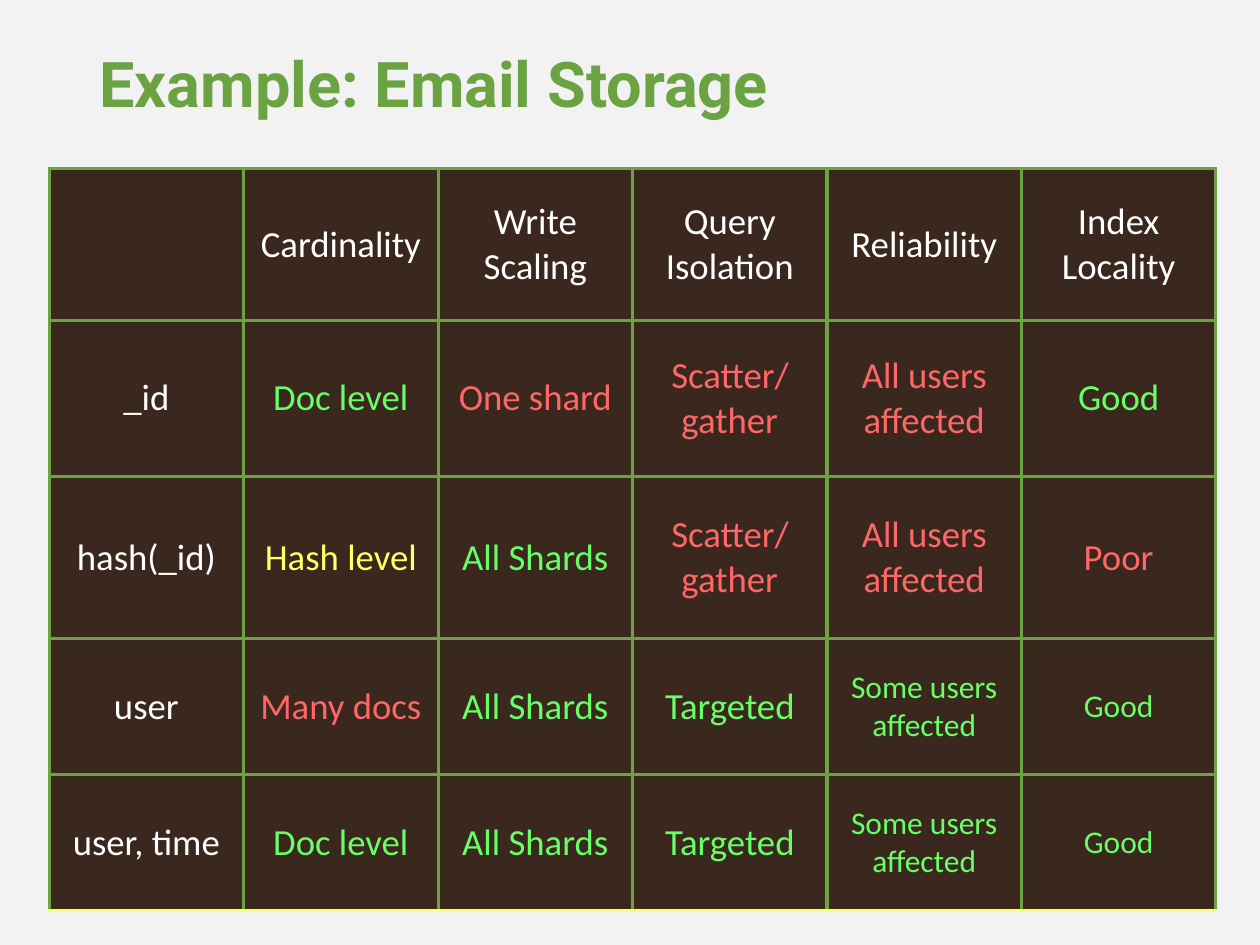
from lxml import etree
from pptx import Presentation
from pptx import util as u
from pptx.dml.color import RGBColor
from pptx.enum import text
from pptx.oxml.ns import qn

COLORS = {
    "background": "F2F2F2", "accent": "6BA342", "cell": "3A281E",
    "label": "FFFFFF", "good": "66FF66", "fair": "FFFF66", "bad": "FF6666",
}
TITLE = "Example: Email Storage"
HEADERS = ["", "Cardinality", "Write Scaling", "Query Isolation", "Reliability", "Index\nLocality"]
# Each shard key, then (assessment, rating) for every criterion
SHARD_KEYS = [
    ("_id", [("Doc level", "good"), ("One shard", "bad"), ("Scatter/gather", "bad"),
             ("All users affected", "bad"), ("Good", "good")]),
    ("hash(_id)", [("Hash level", "fair"), ("All Shards", "good"), ("Scatter/gather", "bad"),
                   ("All users affected", "bad"), ("Poor", "bad")]),
    ("user", [("Many docs", "bad"), ("All Shards", "good"), ("Targeted", "good"),
              ("Some users affected", "good"), ("Good", "good")]),
    ("user, time", [("Doc level", "good"), ("All Shards", "good"), ("Targeted", "good"),
                    ("Some users affected", "good"), ("Good", "good")]),
]
ROW_HEIGHTS = [1.2, 1.24, 1.29, 1.08, 1.08]
LEFT, TOP, WIDTH = 0.39, 1.34, 9.26
TEXT_SIZE, SMALL_SIZE = 21, 18
SMALL_ROWS, SMALL_COLUMNS = (3, 4), (4, 5)
CELL_FORMAT = {
    "margin_left": u.Inches(0.04), "margin_right": u.Inches(0.04),
    "margin_top": 0, "margin_bottom": 0,
    "vertical_anchor": text.MSO_ANCHOR.MIDDLE,
}


def rgb(name):
    return RGBColor.from_string(COLORS[name])


def style_font(font, name, size, color, bold=False):
    for key, value in {"name": name, "size": u.Pt(size), "bold": bold}.items():
        setattr(font, key, value)
    font.color.rgb = rgb(color)


def add_borders(cell, bottom):
    properties = cell._tc.get_or_add_tcPr()
    edges = {"lnL": "accent", "lnR": "accent", "lnT": "accent", "lnB": bottom}
    for index, (tag, color) in enumerate(edges.items()):
        line = etree.Element(qn(f"a:{tag}"), w=str(u.Pt(2)))
        fill = etree.SubElement(line, qn("a:solidFill"))
        etree.SubElement(fill, qn("a:srgbClr"), val=COLORS[color])
        properties.insert(index, line)


def fill_cell(cell, words, color, size, bottom):
    for key, value in CELL_FORMAT.items():
        setattr(cell, key, value)
    cell.fill.solid()
    cell.fill.fore_color.rgb = rgb("cell")
    add_borders(cell, bottom)
    cell.text_frame.text = words
    for para in cell.text_frame.paragraphs:
        para.alignment = text.PP_ALIGN.CENTER
        for span in para.runs:
            style_font(span.font, "Calibri", size, color)


def add_title(page):
    box = page.shapes.add_textbox(u.Inches(0.69), u.Inches(0.37), u.Inches(8.64), u.Inches(0.93))
    box.text_frame.word_wrap = True
    para = box.text_frame.paragraphs[0]
    para.line_spacing = 0.9
    span = para.add_run()
    span.text = TITLE
    style_font(span.font, "Roboto", 36, "accent", bold=True)


def add_comparison(page):
    rows = [[(words, "label") for words in HEADERS]]
    rows += [[(key, "label"), *ratings] for key, ratings in SHARD_KEYS]
    table = page.shapes.add_table(
        len(rows), len(HEADERS), u.Inches(LEFT), u.Inches(TOP),
        u.Inches(WIDTH), u.Inches(sum(ROW_HEIGHTS))).table
    for column in table.columns:
        column.width = u.Inches(WIDTH / len(HEADERS))
    for r, (cells, height) in enumerate(zip(rows, ROW_HEIGHTS)):
        table.rows[r].height = u.Inches(height)
        bottom = "fair" if r == len(rows) - 1 else "accent"
        for c, (words, color) in enumerate(cells):
            small = r in SMALL_ROWS and c in SMALL_COLUMNS
            fill_cell(table.cell(r, c), words, color, SMALL_SIZE if small else TEXT_SIZE, bottom)


def main():
    deck = Presentation()
    deck.slide_width, deck.slide_height = u.Inches(10), u.Inches(7.5)
    page = deck.slides.add_slide(deck.slide_layouts[6])
    page.background.fill.solid()
    page.background.fill.fore_color.rgb = rgb("background")
    add_comparison(page)
    add_title(page)
    deck.save("out.pptx")


if __name__ == "__main__":
    main()
